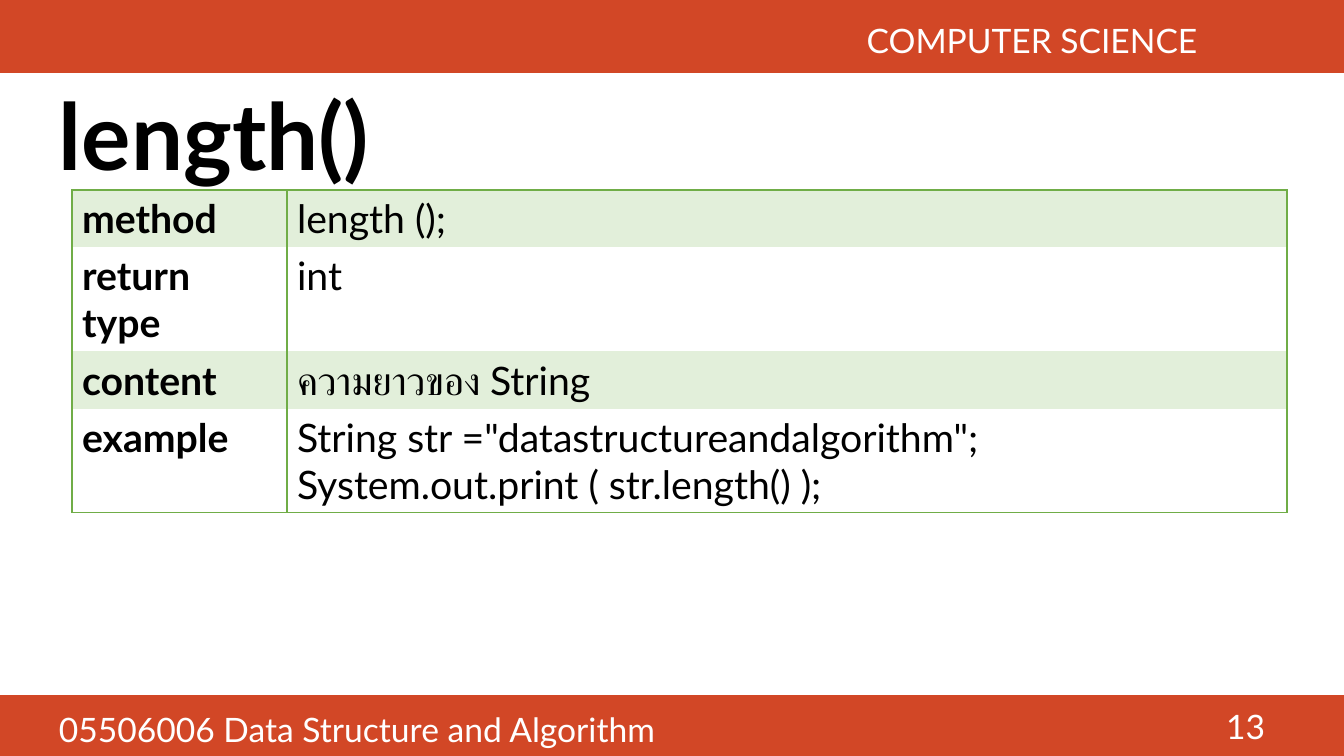
import dataclasses
import typing

import lxml.etree
import pptx
import pptx.dml.color
import pptx.enum.shapes
import pptx.enum.text
import pptx.oxml.ns
import pptx.util

SCALE = 914400 / 100.8
WIDE, HIGH = 1344, 756
FONT = "Lato"
RED, WHITE, BLACK = "D24726", "FFFFFF", "000000"
GREEN, PALE = "70AD47", "E2EFDA"
LEFT, RIGHT = pptx.enum.text.PP_ALIGN.LEFT, pptx.enum.text.PP_ALIGN.RIGHT
TOP, MIDDLE = pptx.enum.text.MSO_ANCHOR.TOP, pptx.enum.text.MSO_ANCHOR.MIDDLE


@dataclasses.dataclass
class Box:
    """A rectangle on the slide, in px."""
    left: int
    top: int
    width: int
    height: int

    def place(self) -> list[pptx.util.Emu]:
        return [px(n) for n in (self.left, self.top, self.width, self.height)]


@dataclasses.dataclass
class Label:
    """A text box with its format."""
    box: Box
    text: str
    style: dict[str, typing.Any]


@dataclasses.dataclass
class Row:
    """A table row: its name, its lines and its height in px."""
    name: str
    value: str
    height: int


BARS = [Box(0, 695, WIDE, 61), Box(0, 0, WIDE, 73)]
LABELS = [
    Label(Box(49, 77, 1238, 128), "length()",
          {"size": 66, "color": BLACK, "bold": True, "anchor": MIDDLE, "spacing": 0.9}),
    Label(Box(-3, 15, 1219, 54), "COMPUTER SCIENCE ", {"align": RIGHT}),
    Label(Box(49, 704, 1157, 66), "05506006 Data Structure and Algorithm", {}),
    Label(Box(973, 706, 302, 40), "13", {"align": RIGHT, "anchor": MIDDLE}),
]
COLS = [215, 1000]
ROWS = [
    Row("method", "length ();", 57),
    Row("return type", "int", 104),
    Row("content", "ความยาวของ String", 57),
    Row("example", 'String str ="datastructureandalgorithm";\n'
        "System.out.print ( str.length() );", 104),
]
GRID = Box(72, 190, sum(COLS), sum(row.height for row in ROWS))


def px(n: int) -> pptx.util.Emu:
    """Turn px into EMU."""
    return pptx.util.Emu(round(n * SCALE))


def rgb(code: str) -> pptx.dml.color.RGBColor:
    """Turn a hex string into a colour."""
    return pptx.dml.color.RGBColor.from_string(code)


def write(frame, text: str, *, size: int = 24, color: str = WHITE, bold: bool = False,
          align=LEFT, anchor=TOP, spacing: float = 1.0) -> None:
    """Fill a text frame, one paragraph a line."""
    frame.word_wrap = True
    frame.vertical_anchor = anchor
    frame.text = text
    for para in frame.paragraphs:
        para.alignment = align
        para.line_spacing = spacing
        for run in para.runs:
            run.font.name = FONT
            run.font.size = pptx.util.Pt(size)
            run.font.bold = bold
            run.font.color.rgb = rgb(color)


def draw_bar(slide, box: Box) -> None:
    """Draw a plain red band."""
    bar = slide.shapes.add_shape(pptx.enum.shapes.MSO_SHAPE.RECTANGLE, *box.place())
    bar.shadow.inherit = False
    bar.fill.solid()
    bar.fill.fore_color.rgb = rgb(RED)
    bar.line.fill.background()


def draw_label(slide, label: Label) -> None:
    """Draw a text box."""
    shape = slide.shapes.add_textbox(*label.box.place())
    write(shape.text_frame, label.text, **label.style)


def edge(cell, sides: str) -> None:
    """Draw the given sides of a cell in green and clear the others."""
    name = pptx.oxml.ns.qn
    props = cell._tc.get_or_add_tcPr()
    for side in "LRTB":
        line = lxml.etree.SubElement(props, name(f"a:ln{side}"), w=str(pptx.util.Pt(1)))
        if side in sides:
            fill = lxml.etree.SubElement(line, name("a:solidFill"))
            lxml.etree.SubElement(fill, name("a:srgbClr"), val=GREEN)
        else:
            lxml.etree.SubElement(line, name("a:noFill"))


def draw_table(slide) -> None:
    """Draw the banded table of the method."""
    table = slide.shapes.add_table(len(ROWS), len(COLS), *GRID.place()).table
    table.first_row = table.horz_banding = False
    for col, width in zip(table.columns, COLS):
        col.width = px(width)
    last = len(ROWS) - 1
    for r, row in enumerate(ROWS):
        table.rows[r].height = px(row.height)
        sides = "LR" + ("T" if r == 0 else "") + ("B" if r == last else "")
        for c, text in enumerate((row.name, row.value)):
            cell = table.cell(r, c)
            edge(cell, sides)
            if r % 2 == 0:
                cell.fill.solid()
                cell.fill.fore_color.rgb = rgb(PALE)
            else:
                cell.fill.background()
            write(cell.text_frame, text, size=28, color=BLACK, bold=c == 0)


def main() -> None:
    """Build the slide and save it."""
    deck = pptx.Presentation()
    deck.slide_width, deck.slide_height = px(WIDE), px(HIGH)
    slide = deck.slides.add_slide(deck.slide_layouts[6])
    for bar in BARS:
        draw_bar(slide, bar)
    for label in LABELS:
        draw_label(slide, label)
    draw_table(slide)
    deck.save("out.pptx")


if __name__ == "__main__":
    main()
